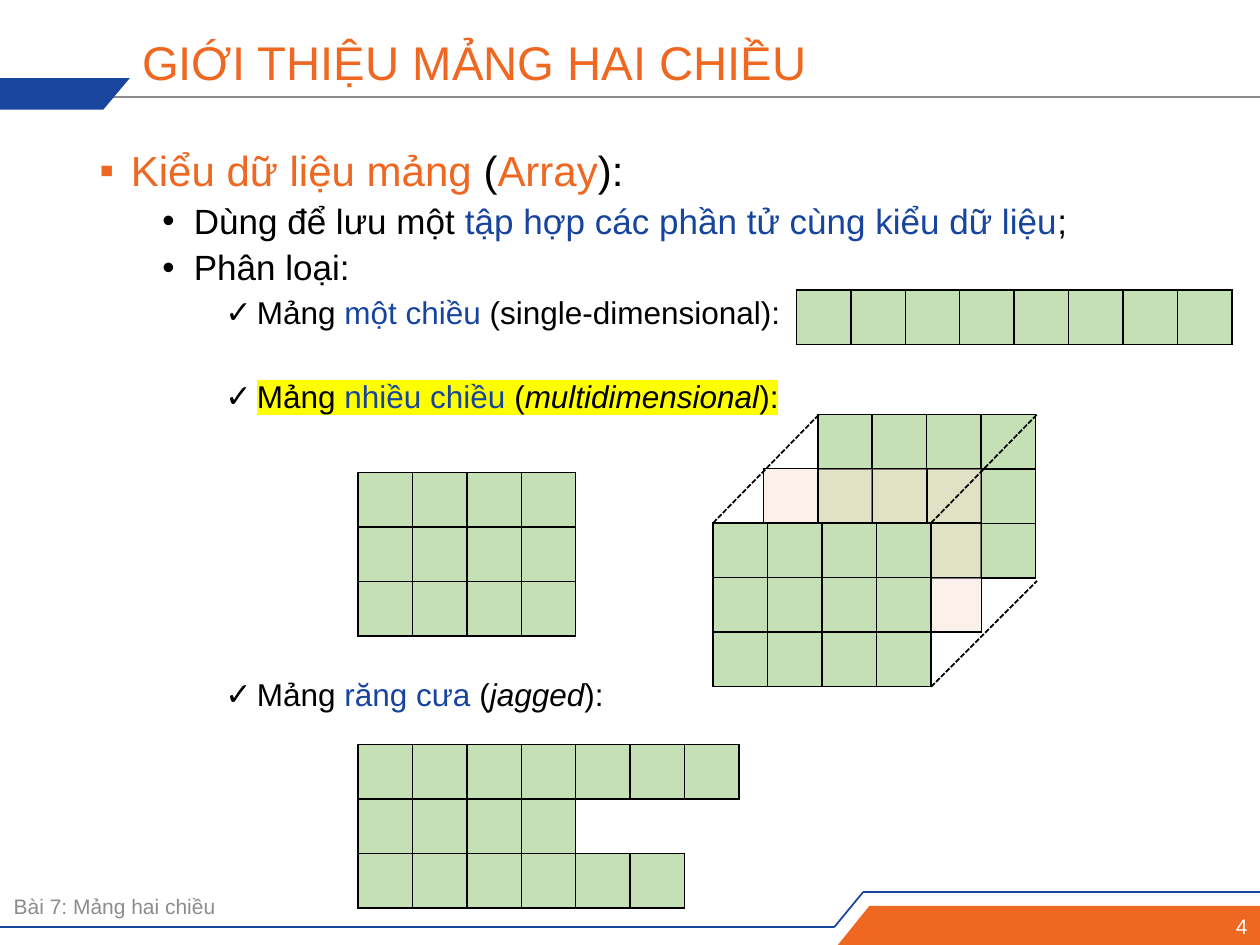
import pptx
import pptx.chart.data
import pptx.dml.color
import pptx.enum.dml
import pptx.enum.shapes
import pptx.enum.text
import pptx.oxml
import pptx.oxml.ns
import pptx.util
import lxml.etree

Inches = pptx.util.Inches
ALIGN = pptx.enum.text.PP_ALIGN
FONT = "Arial"
ORANGE, BLUE, TEXT_BLUE = "EF6822", "18459E", "17459E"
BLACK, WHITE, GRAY = "000000", "FFFFFF", "8C8C8C"
GREEN, PINK, YELLOW = "C5E0B4", "FBE5D6", "FFFF00"
CELL = 3.46 / 8
SIDES = {"L": (0, -1), "R": (0, 1), "T": (-1, 0), "B": (1, 0)}
# bullet, left indent, size
LEVELS = [("▪", 0.25, 24), ("•", 0.75, 20), ("✓", 1.25, 18)]


def color(value):
    return pptx.dml.color.RGBColor.from_string(value)


def add_xml(parent, tag, **attributes):
    child = lxml.etree.SubElement(parent, pptx.oxml.ns.qn(tag))
    for name, value in attributes.items():
        child.set(name, value)
    return child


def add_line(page, start, end, line_color, dashed=False, width=1):
    line = page.shapes.add_connector(
        pptx.enum.shapes.MSO_CONNECTOR.STRAIGHT,
        *[Inches(value) for value in (*start, *end)])
    line.line.color.rgb = color(line_color)
    line.line.width = pptx.util.Pt(width)
    if dashed:
        line.line.dash_style = pptx.enum.dml.MSO_LINE.SQUARE_DOT
        line.line._ln.find(pptx.oxml.ns.qn("a:prstDash")).set("val", "sysDash")
    add_xml(line._element.spPr, "a:effectLst")


def add_polygon(page, points, fill):
    corners = [(Inches(x), Inches(y)) for x, y in points]
    builder = page.shapes.build_freeform(*corners[0])
    builder.add_line_segments(corners[1:], close=True)
    shape = builder.convert_to_shape()
    shape.shadow.inherit = False
    shape.fill.solid()
    shape.fill.fore_color.rgb = color(fill)
    shape.line.fill.background()


def format_span(span, size, text_color, italic=False, highlight=None):
    span.font.name = FONT
    span.font.size = pptx.util.Pt(size)
    span.font.color.rgb = color(text_color)
    span.font.italic = italic
    if highlight:
        mark = lxml.etree.Element(pptx.oxml.ns.qn("a:highlight"))
        add_xml(mark, "a:srgbClr", val=highlight)
        span.font._element.find(pptx.oxml.ns.qn("a:solidFill")).addnext(mark)


def add_text_box(page, box):
    frame = page.shapes.add_textbox(*[Inches(value) for value in box]).text_frame
    frame.word_wrap = True
    return frame


def add_label(page, box, text, size, text_color, align=ALIGN.LEFT, spacing=1.0):
    frame = add_text_box(page, box)
    frame.vertical_anchor = pptx.enum.text.MSO_ANCHOR.MIDDLE
    frame.text = text
    para = frame.paragraphs[0]
    para.alignment = align
    para.line_spacing = spacing
    format_span(para.runs[0], size, text_color)


def add_header(page, box):
    left, top, width, height = box
    bottom = top + height
    add_line(page, (left + 0.74, top + 0.15), (left + width, top + 0.15), GRAY, width=0.75)
    add_polygon(page, [(left, top), (left + 1.05, top), (left + 0.84, bottom),
                       (left, bottom)], BLUE)
    add_label(page, (left + 1.05, top - 0.37, 8.28, 0.53),
              "GIỚI THIỆU MẢNG HAI CHIỀU", 27, ORANGE, spacing=0.9)


def add_footer(page, box):
    left, top, width, height = box
    right, bottom = left + width, top + height
    # Stepped rule
    steps = [(left, top + 0.28), (left + 6.62, top + 0.28),
             (left + 6.85, top), (right, top)]
    for start, end in zip(steps, steps[1:]):
        add_line(page, start, end, BLUE)
    # Page number band
    add_polygon(page, [(left + 6.9, top + 0.11), (right, top + 0.11),
                       (right, bottom), (left + 6.65, bottom)], ORANGE)
    add_label(page, (left + 0.01, top - 0.04, 6.59, 0.31),
              "Bài 7: Mảng hai chiều", 12, GRAY)
    add_label(page, (left + 7.91, top + 0.13, 2.09, 0.28), "4", 12, WHITE, ALIGN.RIGHT)


def add_outline(page, box, items):
    frame = add_text_box(page, box)
    for index, (level, space, highlight, spans) in enumerate(items):
        para = frame.paragraphs[0] if index == 0 else frame.add_paragraph()
        bullet, indent, size = LEVELS[level]
        properties = para._p.get_or_add_pPr()
        properties.set("marL", str(Inches(indent)))
        properties.set("indent", str(Inches(-0.25)))
        add_xml(properties, "a:buFont", typeface=FONT)
        add_xml(properties, "a:buChar", char=bullet)
        para.level = level
        para.alignment = ALIGN.JUSTIFY
        para.line_spacing = 0.9
        para.space_before = pptx.util.Pt(space)
        for text, text_color, *italic in spans:
            span = para.add_run()
            span.text = text
            format_span(span, size, text_color, bool(italic), highlight)


def add_array(page, left, top, row_lengths, fill=GREEN, alpha=None):
    """Draw rows of equal cells; cells past a row's length stay empty."""
    rows, columns = len(row_lengths), max(row_lengths)
    table = page.shapes.add_table(
        rows, columns, Inches(left), Inches(top),
        Inches(columns * CELL), Inches(rows * CELL)).table
    table.first_row = table.horz_banding = False
    for part in [*table.columns]:
        part.width = Inches(CELL)
    for part in [*table.rows]:
        part.height = Inches(CELL)

    def is_used(row, column):
        return 0 <= row < rows and 0 <= column < row_lengths[row]

    for row in range(rows):
        for column in range(columns):
            cell = table.cell(row, column)
            properties = cell._tc.get_or_add_tcPr()
            # A border shows where either neighbour is part of the array
            for side, (down, across) in SIDES.items():
                border = add_xml(properties, "a:ln" + side, w=str(pptx.util.Pt(1)))
                if is_used(row, column) or is_used(row + down, column + across):
                    add_xml(add_xml(border, "a:solidFill"), "a:srgbClr", val=BLACK)
                else:
                    add_xml(border, "a:noFill")
            if not is_used(row, column):
                cell.fill.background()
                continue
            cell.fill.solid()
            cell.fill.fore_color.rgb = color(fill)
            if alpha:
                shade = properties.find(pptx.oxml.ns.qn("a:solidFill"))[0]
                add_xml(shade, "a:alpha", val=str(alpha * 1000))


def add_cube(page, left, top):
    # Layers from back to front
    add_array(page, left + 0.83, top, [4] * 3)
    add_array(page, left + 0.4, top + 0.43, [4] * 3, PINK, 50)
    add_array(page, left, top + 0.86, [4] * 3)
    # Depth edges
    for x, y, rise in [(0, 0.86, 0.86), (1.73, 0.86, 0.86), (1.73, 2.16, 0.84)]:
        start = (left + x, top + y)
        add_line(page, start, (start[0] + 0.84, start[1] - rise), BLACK, dashed=True)


OUTLINE = [
    (0, 0, None, [("Kiểu dữ liệu mảng ", ORANGE), ("(", BLACK),
                  ("Array", ORANGE), ("):", BLACK)]),
    (1, 5, None, [("Dùng để lưu một ", BLACK),
                  ("tập hợp các phần tử cùng kiểu dữ liệu", TEXT_BLUE), (";", BLACK)]),
    (1, 5, None, [("Phân loại:", BLACK)]),
    (2, 5, None, [("Mảng ", BLACK), ("một chiều ", TEXT_BLUE),
                  ("(single-dimensional):", BLACK)]),
    (2, 28.7, YELLOW, [("Mảng ", BLACK), ("nhiều chiều ", TEXT_BLUE), ("(", BLACK),
                       ("multidimensional", BLACK, True), ("):", BLACK)]),
    (2, 151, None, [("Mảng ", BLACK), ("răng cưa ", TEXT_BLUE), ("(", BLACK),
                    ("jagged", BLACK, True), ("):", BLACK)]),
]


def main():
    deck = pptx.Presentation()
    deck.slide_width, deck.slide_height = Inches(10), Inches(7.5)
    page = deck.slides.add_slide(deck.slide_layouts[6])
    add_header(page, (-0.02, 0.62, 10.04, 0.25))
    add_footer(page, (0, 7.08, 10.01, 0.42))
    add_outline(page, (0.69, 1.14, 8.62, 5.61), OUTLINE)
    add_array(page, 6.32, 2.3, [8])
    add_array(page, 2.84, 3.75, [4] * 3)
    add_cube(page, 5.66, 3.29)
    add_array(page, 2.84, 5.91, [7, 4, 6])
    deck.save("out.pptx")


if __name__ == "__main__":
    main()
